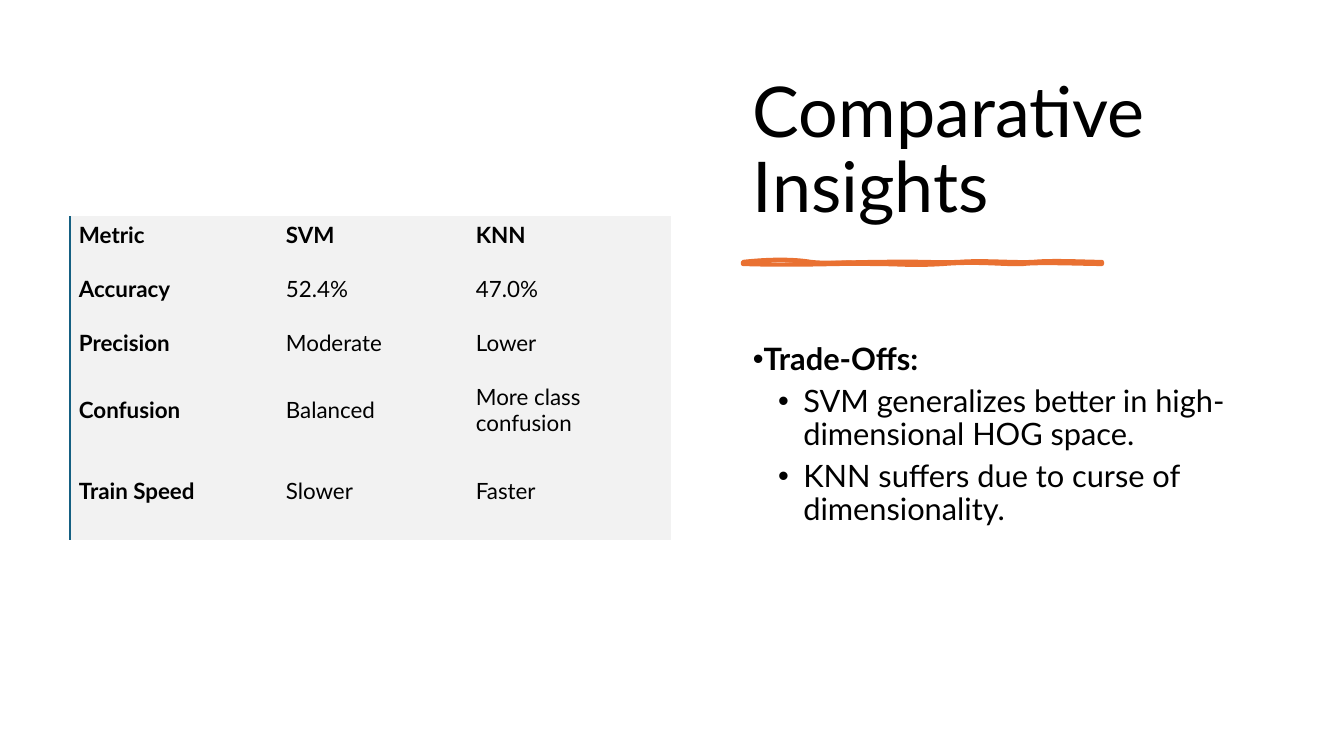
"""Build the Comparative Insights slide: metric table, title, brush underline and trade-offs."""
from lxml import etree
from pptx import Presentation
from pptx.dml.color import RGBColor
from pptx.enum.text import MSO_ANCHOR
from pptx.oxml import parse_xml
from pptx.oxml.ns import nsdecls, qn
from pptx.util import Pt

PX = 914400 / 100.8
MIDDLE, BOTTOM, TOP = MSO_ANCHOR.MIDDLE, MSO_ANCHOR.BOTTOM, MSO_ANCHOR.TOP
NO_STYLE = "{2D5ABB26-0587-4C30-8999-92F81FD0307C}"
THEME = {
    "font": "Lato", "ink": RGBColor.from_string("000000"),
    "accent": RGBColor.from_string("E97132"), "cell": RGBColor.from_string("F2F2F2"),
    "edge": "156082", "title": Pt(50), "body": Pt(22), "table": Pt(16),
}


def px(*lengths):
    return [round(length * PX) for length in lengths]


def write(para, text, size, bold=False):
    para.text = text
    para.font.name, para.font.size, para.font.bold = THEME["font"], size, bold
    para.font.color.rgb = THEME["ink"]


deck = Presentation()
deck.slide_width, deck.slide_height = px(1344, 756)
page = deck.slides.add_slide(deck.slide_layouts[6])

frames = []
for top, height, inset, anchor in [(70, 163, 5, BOTTOM), (293, 391, 51, TOP)]:
    frame = page.shapes.add_textbox(*px(743, top, 531, height)).text_frame
    frame.word_wrap, frame.vertical_anchor = True, anchor
    frame.margin_left, frame.margin_right, frame.margin_top, frame.margin_bottom = px(10, 10, inset, 5)
    frames.append(frame)
title, body = frames

write(title.paragraphs[0], "Comparative Insights", THEME["title"])
title.paragraphs[0].line_spacing = 0.9

trade_offs = [
    (0, "Trade-Offs:"),
    (1, "SVM generalizes better in high-dimensional HOG space."),
    (1, "KNN suffers due to curse of dimensionality."),
]
for index, (level, text) in enumerate(trade_offs):
    para = body.add_paragraph() if index else body.paragraphs[0]
    write(para, text, THEME["body"], bold=level == 0)
    para.level, para.line_spacing, para.space_after = level, 0.9, Pt(6)
    properties = para._p.get_or_add_pPr()
    properties.set("marL", str(level * 457200))
    properties.set("indent", "-228600")
    etree.SubElement(properties, qn("a:buFont")).set("typeface", "Arial")
    etree.SubElement(properties, qn("a:buChar")).set("char", "•")

LEFT, RIGHT, UPPER, LOWER = 743, 1102, 262, 264
brush_outline = [
    (743, 262), (769, 259), (794, 259), (811, 262), (829, 264), (851, 262), (883, 262),
    (915, 261), (934, 263), (959, 262), (983, 260), (1013, 263), (1033, 262),
    (1053, 260), (1087, 262), (1102, 262), (1102, 262), (1102, 263), (1102, 264),
    (1084, 264), (1039, 262), (1023, 264), (1006, 265), (979, 261), (943, 264),
    (909, 266), (904, 264), (872, 264), (840, 263), (804, 266), (743, 264),
    (743, 263), (743, 262), (743, 262),
]
brush_fill = [
    (743, 262), (775, 264), (783, 262), (811, 262), (840, 261), (843, 259), (872, 262),
    (901, 264), (935, 263), (951, 262), (967, 260), (1002, 264), (1019, 262),
    (1037, 259), (1073, 265), (1102, 262), (1102, 262), (1102, 263), (1102, 264),
    (1087, 263), (1047, 266), (1030, 264), (1012, 261), (983, 264), (951, 264),
    (918, 263), (913, 262), (890, 264), (867, 265), (853, 263), (818, 264),
    (784, 264), (765, 263), (743, 264), (743, 263), (743, 262), (743, 262),
]
builder = page.shapes.build_freeform(*px(LEFT, UPPER))
corners = [(RIGHT, UPPER), (RIGHT, LOWER), (LEFT, LOWER)]
builder.add_line_segments([px(*corner) for corner in corners], close=True)
underline = builder.convert_to_shape()
underline.shadow.inherit = False
underline.fill.solid()
underline.fill.fore_color.rgb = THEME["accent"]
underline.line.color.rgb = THEME["accent"]
underline.line.width = Pt(3)

contours = underline._element.spPr.find(".//" + qn("a:pathLst"))
contours.remove(contours[0])
box_size = dict(zip("wh", map(str, px(RIGHT - LEFT, LOWER - UPPER))))
for knots, hidden in [(brush_outline, {"fill": "none"}), (brush_fill, {"stroke": "0"})]:
    contour = etree.SubElement(contours, qn("a:path"), {**box_size, **hidden})
    strokes = [("a:moveTo", knots[:1])]
    strokes += [("a:cubicBezTo", knots[i:i + 3]) for i in range(1, len(knots), 3)]
    for tag, points in strokes:
        stroke = etree.SubElement(contour, qn(tag))
        for x, y in points:
            position = map(str, px(x - LEFT, y - UPPER))
            etree.SubElement(stroke, qn("a:pt"), dict(zip("xy", position)))
    etree.SubElement(contour, qn("a:close"))

metrics = [
    ("Metric", "SVM", "KNN"),
    ("Accuracy", "52.4%", "47.0%"),
    ("Precision", "Moderate", "Lower"),
    ("Confusion", "Balanced", "More class confusion"),
    ("Train Speed", "Slower", "Faster"),
]
table = page.shapes.add_table(5, 3, *px(70, 216, 601, 324)).table
table.first_row = table.horz_banding = False
table._tbl.tblPr.find(qn("a:tableStyleId")).text = NO_STYLE
for column, width in zip(table.columns, px(207, 190, 204)):
    column.width = width
for row, height in zip(table.rows, px(54, 54, 54, 81, 81)):
    row.height = height
for r, texts in enumerate(metrics):
    for c, text in enumerate(texts):
        cell = table.cell(r, c)
        write(cell.text_frame.paragraphs[0], text, THEME["table"], bold=r == 0 or c == 0)
        cell.vertical_anchor = MIDDLE
        cell.margin_left, cell.margin_top, cell.margin_right, cell.margin_bottom = px(9, 3, 73, 20)
        cell.fill.solid()
        cell.fill.fore_color.rgb = THEME["cell"]
        if c == 0:
            cell._tc.get_or_add_tcPr().insert(0, parse_xml(
                f'<a:lnL {nsdecls("a")} w="12700"><a:solidFill>'
                f'<a:srgbClr val="{THEME["edge"]}"/></a:solidFill></a:lnL>'))

deck.save("out.pptx")
